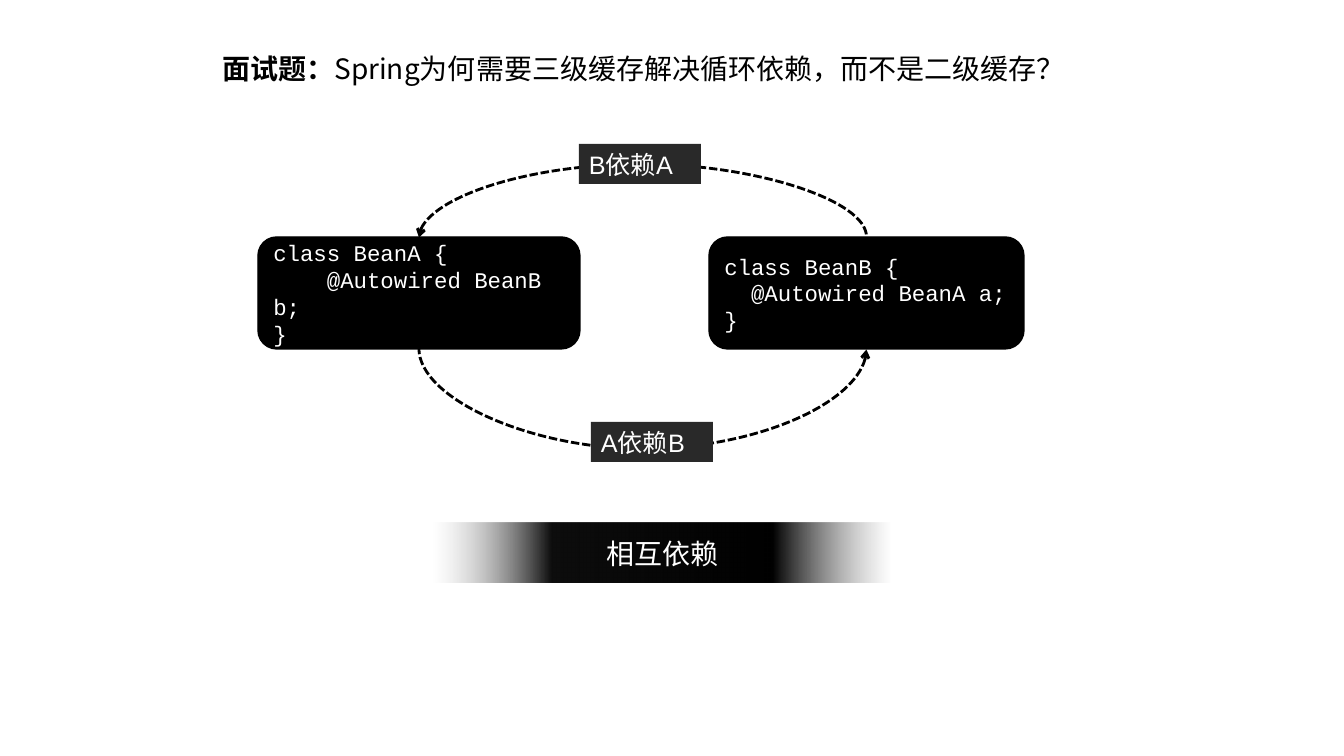
import pptx
import pptx.util
import pptx.dml.color
import pptx.enum.dml
import pptx.enum.shapes
import pptx.enum.text
import pptx.oxml
import pptx.oxml.ns
from lxml import etree

SANS = "Noto Sans CJK SC"
MONO = "Courier New"
KIND = pptx.enum.shapes.MSO_SHAPE
ALIGN = pptx.enum.text.PP_ALIGN
ANCHOR = pptx.enum.text.MSO_ANCHOR
SIZING = pptx.enum.text.MSO_AUTO_SIZE
NS = pptx.oxml.ns.nsdecls("a")


def px(n):
    return pptx.util.Emu(round(n * 914400 / 100.8))


def color(code):
    return pptx.dml.color.RGBColor.from_string(code)


def write(frame, text, size=20, font=SANS, ink="FFFFFF", align=ALIGN.LEFT,
          anchor=ANCHOR.MIDDLE, wrap=True, fit=SIZING.NONE, lead=""):
    """Fill a frame, one paragraph a line; lead is a bold opening."""
    frame.word_wrap = wrap
    frame.auto_size = fit
    frame.vertical_anchor = anchor
    for i, line in enumerate(text.split("\n")):
        para = frame.paragraphs[0] if i == 0 else frame.add_paragraph()
        para.alignment = align
        parts = [(lead, True)] if lead and i == 0 else []
        for words, bold in parts + [(line, False)]:
            run = para.add_run()
            run.text = words
            run.font.size = pptx.util.Pt(size)
            run.font.name = font
            run.font.bold = bold
            run.font.color.rgb = color(ink)
            east = etree.SubElement(run.font._element, pptx.oxml.ns.qn("a:ea"))
            east.set("typeface", SANS)


def block(slide, kind, x, y, w, h, fill, edge=None):
    shape = slide.shapes.add_shape(kind, px(x), px(y), px(w), px(h))
    shape.shadow.inherit = False
    shape.fill.solid()
    shape.fill.fore_color.rgb = color(fill)
    if edge:
        shape.line.color.rgb = color(edge)
        shape.line.width = pptx.util.Pt(1)
    else:
        shape.line.fill.background()
    return shape


def bean(slide, x, w, code):
    box = block(slide, KIND.ROUNDED_RECTANGLE, x, 237, w, 112, "000000", "000000")
    write(box.text_frame, code, size=16, font=MONO)
    return box


def label(slide, x, y, text):
    """Tag on an arc, wide enough for its whole text."""
    box = block(slide, KIND.RECTANGLE, x, y, 122, 40, "292929")
    write(box.text_frame, text, size=18, font="Arial", anchor=ANCHOR.TOP,
          wrap=False)


def arc(slide, start, end, site, y, bulge, turn, flip):
    """Dashed curve between two boxes: a turned connector one px wide."""
    line = slide.shapes.add_connector(
        pptx.enum.shapes.MSO_CONNECTOR.CURVE, 0, 0, 0, 0)
    line.begin_connect(start, site)
    line.end_connect(end, site)
    ends = [box.left + box.width // 2 for box in (start, end)]
    span = abs(ends[1] - ends[0])
    line.left = (sum(ends) - px(1)) // 2
    line.top = px(y) - span // 2
    line.width, line.height = px(1), span
    line.line.color.rgb = color("000000")
    line.line.width = pptx.util.Pt(2)
    line.line.dash_style = pptx.enum.dml.MSO_LINE.SQUARE_DOT
    props = line._element.spPr
    frame = props.find(pptx.oxml.ns.qn("a:xfrm"))
    frame.set("rot", str(turn * 60000))
    frame.set("flipH", str(int(flip)))
    frame.set("flipV", "0")
    # Depth of the curve in multiples of its width
    shape = props.find(pptx.oxml.ns.qn("a:prstGeom"))
    for old in list(shape):
        shape.remove(old)
    shape.append(pptx.oxml.parse_xml(
        f'<a:avLst {NS}><a:gd name="adj1" fmla="val {bulge * 100000}"/></a:avLst>'))
    line.line._get_or_add_ln().append(
        pptx.oxml.parse_xml(f'<a:headEnd {NS} type="arrow"/>'))
    props.append(pptx.oxml.parse_xml(f"<a:effectLst {NS}/>"))


def band(slide, x, y, w, h, text):
    """Bar that fades out at both ends."""
    bar = block(slide, KIND.RECTANGLE, x, y, w, h, "000000")
    stops = [(0, "808080", 0), (26, "000000", 100),
             (74, "0D0D0D", 100), (100, "BFBFBF", 0)]
    marks = "".join(
        f'<a:gs pos="{at * 1000}"><a:srgbClr val="{tint}">'
        f'<a:alpha val="{seen * 1000}"/></a:srgbClr></a:gs>'
        for at, tint, seen in stops)
    props = bar._element.spPr
    props.replace(props.find(pptx.oxml.ns.qn("a:solidFill")), pptx.oxml.parse_xml(
        f'<a:gradFill {NS} rotWithShape="1"><a:gsLst>{marks}</a:gsLst>'
        '<a:lin ang="10800000" scaled="0"/></a:gradFill>'))
    write(bar.text_frame, text, font=MONO, align=ALIGN.CENTER)


def main():
    deck = pptx.Presentation()
    deck.slide_width, deck.slide_height = px(1344), px(756)
    slide = deck.slides.add_slide(deck.slide_layouts[5])

    # Question
    title = slide.shapes.title
    title.left, title.top, title.width, title.height = map(px, (212, 46, 1098, 44))
    write(title.text_frame, "Spring为何需要三级缓存解决循环依赖，而不是二级缓存？",
          ink="000000", anchor=ANCHOR.TOP, lead="面试题：")

    # Beans
    left = bean(slide, 258, 322, "class BeanA {\n    @Autowired BeanB b;\n}")
    right = bean(slide, 709, 315, "class BeanB {\n  @Autowired BeanA a;\n}")

    # Mutual references
    arc(slide, left, right, 0, 237, 74, 270, False)
    arc(slide, right, left, 2, 349, -100, 90, True)
    label(slide, 579, 144, "B依赖A")
    label(slide, 591, 422, "A依赖B")

    # Conclusion
    band(slide, 434, 523, 457, 60, "相互依赖")

    deck.save("out.pptx")


if __name__ == "__main__":
    main()
